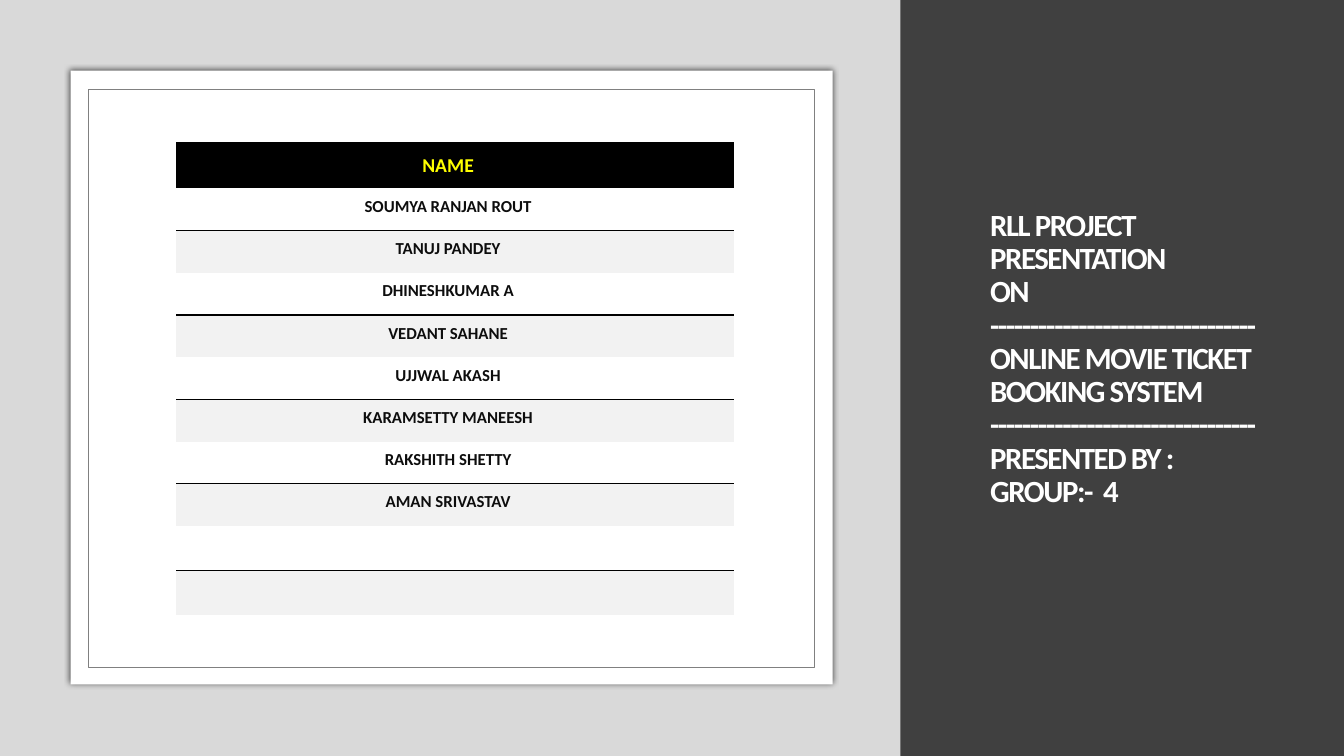
"""Build the group introduction slide with a name table and a side title."""
from lxml.etree import SubElement
from pptx import Presentation
from pptx.dml.color import RGBColor
from pptx.enum.shapes import MSO_SHAPE as Shape
from pptx.enum.text import MSO_ANCHOR as Anchor, MSO_AUTO_SIZE as AutoSize, PP_ALIGN as Align
from pptx.oxml import parse_xml
from pptx.oxml.ns import nsdecls, qn
from pptx.util import Inches, Pt


def paint(target, color):
    target.solid()
    target.fore_color.rgb = RGBColor.from_string(color)


def write(frame, text, size=12, color="0D0D0D", align=Align.CENTER, spacing=0, line_spacing=1.0):
    paragraph = frame.paragraphs[0]
    paragraph.text = text
    paragraph.alignment = align
    paragraph.line_spacing = line_spacing
    for run in paragraph.runs:
        run.font.name = "Calibri"
        run.font.size = Pt(size)
        run.font.bold = True
        paint(run.font.fill, color)
        run.font._element.set("spc", str(spacing))


presentation = Presentation()
presentation.slide_width = Inches(13.33)
presentation.slide_height = Inches(7.5)
slide = presentation.slides.add_slide(presentation.slide_layouts[5])

panels = []
for box, color in (
    ((0, 0, 13.33, 7.5), "404040"),
    ((0, 0, 8.93, 7.5), "D9D9D9"),
    ((0.7, 0.7, 7.56, 6.09), "FFFFFF"),
    ((0.88, 0.89, 7.2, 5.73), "FFFFFF"),
):
    panel = slide.shapes.add_shape(Shape.RECTANGLE, *map(Inches, box))
    panel.shadow.inherit = False
    paint(panel.fill, color)
    panel.line.fill.background()
    panels.append(panel)
backdrop, left_panel, card, card_frame = panels

paint(card_frame.line.fill, "808080")
card_frame.line.width = Pt(0.5)
card.element.spPr.find(qn("a:effectLst")).append(parse_xml(
    f'<a:outerShdw {nsdecls("a")} blurRad="{Pt(4)}" dist="0" algn="ctr" rotWithShape="0">'
    '<a:srgbClr val="000000"><a:alpha val="66000"/></a:srgbClr></a:outerShdw>'
))

title = slide.shapes.title
title.left, title.top, title.width, title.height = map(Inches, (9.47, 0.7, 3.16, 6.09))
title.element.addprevious(backdrop.element)
title_frame = title.text_frame
title_frame.word_wrap = True
title_frame.auto_size = AutoSize.NONE
title_frame.vertical_anchor = Anchor.MIDDLE
title_frame.margin_left = Inches(0.35)
title_frame.margin_bottom = Inches(0.41)
rule = "-" * 33
title_lines = ("RLL PROJECT PRESENTATION", "ON", rule, "ONLINE MOVIE TICKET BOOKING SYSTEM",
               rule, "PRESENTED BY :", "GROUP:-  4")
write(title_frame, "\v".join(title_lines), size=22, color="FFFFFF",
      align=Align.LEFT, spacing=-100, line_spacing=0.9)

names = ("NAME", "SOUMYA RANJAN ROUT", "TANUJ PANDEY", "DHINESHKUMAR A", "VEDANT SAHANE",
         "UJJWAL AKASH", "KARAMSETTY MANEESH", "RAKSHITH SHETTY", "AMAN SRIVASTAV", "", "")
header_height, empty_height, table_height = 0.46, 0.44, 4.69
name_height = (table_height - header_height - 2 * empty_height) / 8
row_heights = [header_height] + [name_height] * 8 + [empty_height] * 2
table = slide.shapes.add_table(len(names), 2, *map(Inches, (1.75, 1.41, 5.51, table_height))).table
table._tbl.tblPr.find(qn("a:tableStyleId")).text = "{2D5ABB26-0587-4C30-8999-92F81FD0307C}"
for column, width in zip(table.columns, (5.37, 0.14)):
    column.width = Inches(width)

for index, (name, height) in enumerate(zip(names, row_heights)):
    row = table.rows[index]
    row.height = Inches(height)
    header, shaded = index == 0, index % 2 == 0
    for cell in row.cells:
        for side in ("a:lnT", "a:lnB"):
            edge = SubElement(cell._tc.get_or_add_tcPr(), qn(side), w=str(Pt(1)))
            if not header and shaded == (side == "a:lnT"):
                SubElement(SubElement(edge, qn("a:solidFill")), qn("a:srgbClr"), val="000000")
            else:
                SubElement(edge, qn("a:noFill"))
        paint(cell.fill, "000000" if header else "F2F2F2" if shaded else "FFFFFF")
        cell.margin_left, cell.margin_right = Inches(0.07), Inches(0.05)
    if name:
        cell = row.cells[0]
        cell.margin_top, cell.margin_bottom = Inches(0.1 if header else 0.08), Inches(0.1)
        cell.vertical_anchor = Anchor.MIDDLE if header else Anchor.TOP
        write(cell.text_frame, name, size=14 if header else 12, color="FFFF00" if header else "0D0D0D")

presentation.save("out.pptx")
